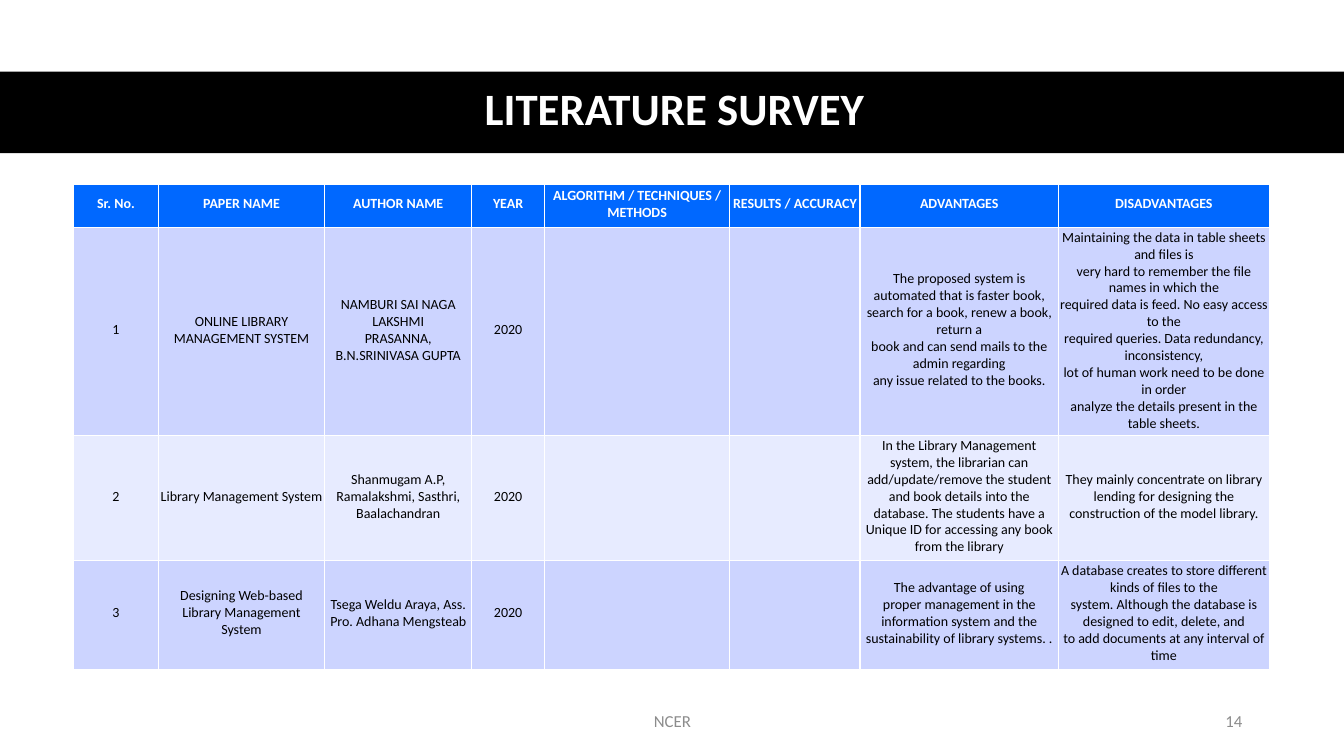
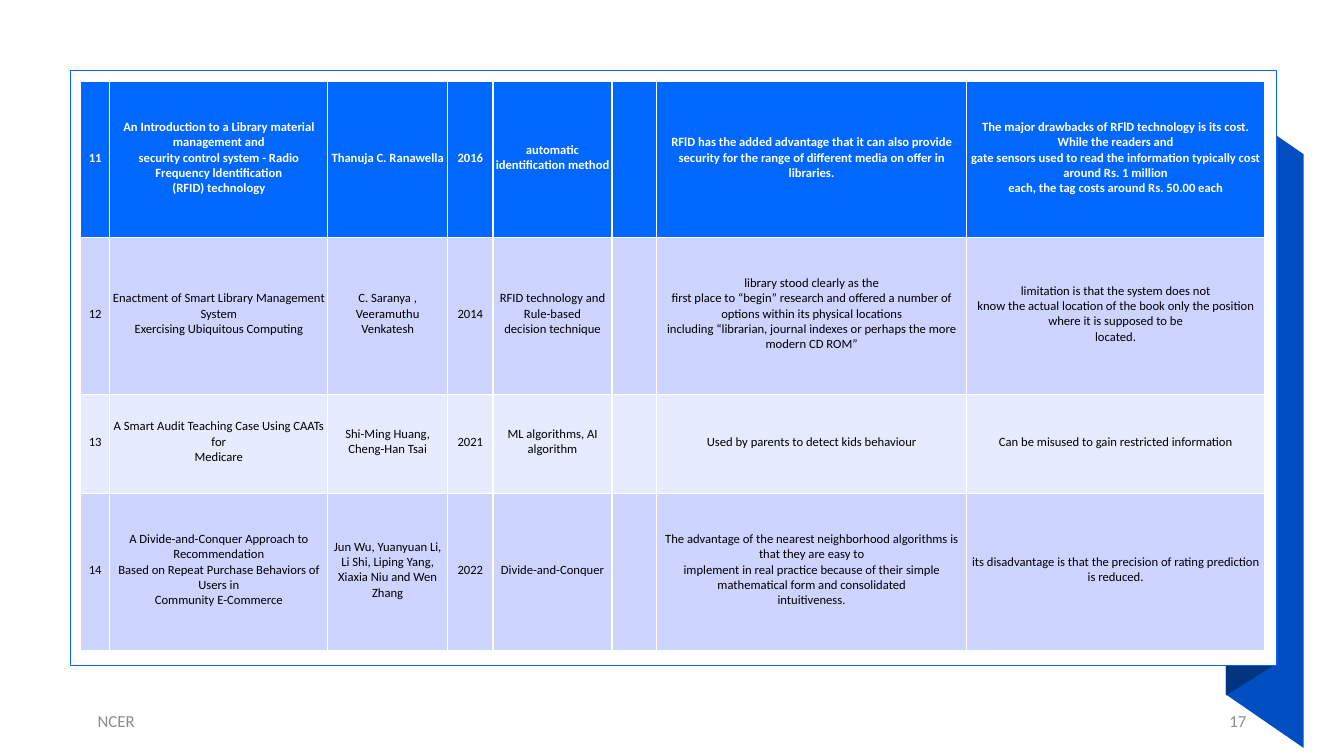
from pptx import Presentation
from pptx.dml.color import RGBColor
from pptx.enum.shapes import MSO_SHAPE
from pptx.enum.text import MSO_ANCHOR, PP_ALIGN
from pptx.util import Inches, Pt

FONT = "Calibri"
COLORS = {
    "white": "FFFFFF", "black": "000000", "gray": "8C8C8C",
    "head": "0068FF", "odd": "CCD4FF", "even": "E7EBFF",
    "side": "004EBF", "fold": "003480",
}


def style(par, size, color, bold=False, align=PP_ALIGN.CENTER):
    par.alignment = align
    for run in par.runs:
        run.font.name = FONT
        run.font.size = Pt(size)
        run.font.bold = bold
        run.font.color.rgb = RGBColor.from_string(COLORS[color])


def paint(shape, fill, line=None):
    """Give a shape a flat fill and, if named, a thin outline."""
    shape.shadow.inherit = False
    shape.fill.solid()
    shape.fill.fore_color.rgb = RGBColor.from_string(COLORS[fill])
    if line:
        shape.line.color.rgb = RGBColor.from_string(COLORS[line])
        shape.line.width = Pt(1)
    else:
        shape.line.fill.background()


survey = [
    ["Sr. No.", "PAPER NAME", "AUTHOR NAME", "YEAR",
     "ALGORITHM / TECHNIQUES / METHODS", "RESULTS / ACCURACY",
     "ADVANTAGES", "DISADVANTAGES"],
    ["1", "ONLINE LIBRARY MANAGEMENT SYSTEM",
     "NAMBURI SAI NAGA LAKSHMI\nPRASANNA, B.N.SRINIVASA GUPTA", "2020", "", "",
     "The proposed system is automated that is faster book, search for a book, "
     "renew a book, return a\nbook and can send mails to the admin regarding\n"
     "any issue related to the books.",
     "Maintaining the data in table sheets and files is\n"
     "very hard to remember the file names in which the\n"
     "required data is feed. No easy access to the\n"
     "required queries. Data redundancy, inconsistency,\n"
     "lot of human work need to be done in order\n"
     "analyze the details present in the table sheets."],
    ["2", "Library Management System",
     "Shanmugam A.P, Ramalakshmi, Sasthri,\nBaalachandran", "2020", "", "",
     "In the Library Management system, the librarian can\n"
     "add/update/remove the student and book details into the database. "
     "The students have a\nUnique ID for accessing any book from the library",
     "They mainly concentrate on library lending for designing the\n"
     "construction of the model library."],
    ["3", "Designing Web-based Library Management\nSystem",
     "Tsega Weldu Araya, Ass. Pro. Adhana Mengsteab", "2020", "", "",
     "The advantage of using\nproper management in the information system and the\n"
     "sustainability of library systems. .",
     "A database creates to store different kinds of files to the\n"
     "system. Although the database is designed to edit, delete, and\n"
     "to add documents at any interval of time"],
]
papers = [
    ["11", "An Introduction to a Library material management and\n"
     "security control system - Radio Frequency ldentification\n(RFID) technology",
     "Thanuja C. Ranawella", "2016", "automatic identification method", "",
     "RFlD has the added advantage that it can also provide\n"
     "security for the range of different media on offer in libraries.",
     "The major drawbacks of RFlD technology is its cost. While the readers and\n"
     "gate sensors used to read the information typically cost around Rs. 1 million\n"
     "each, the tag costs around Rs. 50.00 each"],
    ["12", "Enactment of Smart Library Management System\n"
     "Exercising Ubiquitous Computing",
     "C. Saranya , Veeramuthu Venkatesh", "2014",
     "RFID technology and Rule-based\ndecision technique", "",
     "library stood clearly as the\nfirst place to “begin” research and offered "
     "a number of options within its physical locations\n"
     "including “librarian, journal indexes or perhaps the more modern CD ROM”",
     "limitation is that the system does not\nknow the actual location of the book "
     "only the position where it is supposed to be\nlocated."],
    ["13", "A Smart Audit Teaching Case Using CAATs for\nMedicare",
     "Shi-Ming Huang, Cheng-Han Tsai", "2021", "ML algorithms, AI algorithm", "",
     "Used by parents to detect kids behaviour",
     "Can be misused to gain restricted information"],
    ["14", "A Divide-and-Conquer Approach to Recommendation\n"
     "Based on Repeat Purchase Behaviors of Users in\nCommunity E-Commerce",
     "Jun Wu, Yuanyuan Li, Li Shi, Liping Yang, Xiaxia Niu and Wen Zhang", "2022",
     "Divide-and-Conquer", "",
     "The advantage of the nearest neighborhood algorithms is that they are easy to\n"
     "implement in real practice because of their simple mathematical form and "
     "consolidated\nintuitiveness.",
     "its disadvantage is that the precision of rating prediction is reduced."],
]

deck = Presentation()
deck.slide_width, deck.slide_height = Inches(13.33), Inches(7.5)

# Slide with title band
first = deck.slides.add_slide(deck.slide_layouts[5])
title = first.shapes.title
title.left, title.top = Inches(0.56), Inches(0.7)
title.width, title.height = Inches(12.26), Inches(0.81)
title.text_frame.text = "LITERATURE SURVEY"
title.text_frame.vertical_anchor = MSO_ANCHOR.MIDDLE
title.text_frame.paragraphs[0].line_spacing = 0.9
style(title.text_frame.paragraphs[0], 32, "white", True)
band = first.shapes.add_shape(
    MSO_SHAPE.RECTANGLE, 0, Inches(0.71), deck.slide_width, Inches(0.81))
paint(band, "black")
title.element.addprevious(band.element)

# Slide with folded frame
last = deck.slides.add_slide(deck.slide_layouts[6])
flaps = [
    ("side", [(12.93, 7.42), (12.16, 6.89), (12.16, 1), (12.93, 1.53)]),
    ("fold", [(12.62, 6.61), (12.16, 6.9), (12.16, 1), (12.62, 0.7)]),
]
for fill, points in flaps:
    start, *rest = [(Inches(x), Inches(y)) for x, y in points]
    pen = last.shapes.build_freeform(*start)
    pen.add_line_segments(rest, close=True)
    paint(pen.convert_to_shape(), fill)
frame = last.shapes.add_shape(
    MSO_SHAPE.RECTANGLE, Inches(0.7), Inches(0.7), Inches(11.96), Inches(5.9))
paint(frame, "white", "head")

# Footers: slide, text, left, top, width, height, alignment
footers = [
    (first, "NCER", 4.42, 6.95, 4.5, 0.4, PP_ALIGN.CENTER),
    (first, "14", 9.42, 6.95, 3, 0.4, PP_ALIGN.RIGHT),
    (last, "NCER", 0.87, 6.98, 7.39, 0.35, PP_ALIGN.LEFT),
    (last, "17", 11.71, 6.98, 0.75, 0.35, PP_ALIGN.RIGHT),
]
for slide, text, *place, align in footers:
    box = slide.shapes.add_textbox(*[Inches(n) for n in place]).text_frame
    box.word_wrap = True
    box.vertical_anchor = MSO_ANCHOR.MIDDLE
    box.text = text
    box.paragraphs[0].space_after = Pt(6)
    style(box.paragraphs[0], 12, "gray", align=align)

# Tables: slide, content, text size, left, top, column widths, row heights
tables = [
    (first, survey, 10, 0.73, 1.83,
     [0.84, 1.65, 1.46, 0.72, 1.84, 1.29, 1.97, 2.09], [0.43, 2.06, 1.24, 1.08]),
    (last, papers, 9, 0.8, 0.81,
     [0.29, 2.16, 1.19, 0.45, 1.18, 0.44, 3.08, 2.95], [1.55, 1.55, 0.99, 1.55]),
]
for slide, rows, size, left, top, widths, heights in tables:
    grid = slide.shapes.add_table(
        len(rows), len(widths), Inches(left), Inches(top),
        Inches(sum(widths)), Inches(sum(heights))).table
    for col, width in zip(grid.columns, widths):
        col.width = Inches(width)
    for r, texts in enumerate(rows):
        grid.rows[r].height = Inches(heights[r])
        fill = "head" if r == 0 else "odd" if r % 2 else "even"
        for c, text in enumerate(texts):
            cell = grid.cell(r, c)
            cell.fill.solid()
            cell.fill.fore_color.rgb = RGBColor.from_string(COLORS[fill])
            cell.vertical_anchor = MSO_ANCHOR.MIDDLE
            cell.margin_left = cell.margin_right = cell.margin_top = Inches(0.01)
            cell.margin_bottom = Inches(0.05)
            par = cell.text_frame.paragraphs[0]
            par.text = text
            style(par, size, "black" if r else "white", r == 0)

deck.save("out.pptx")
